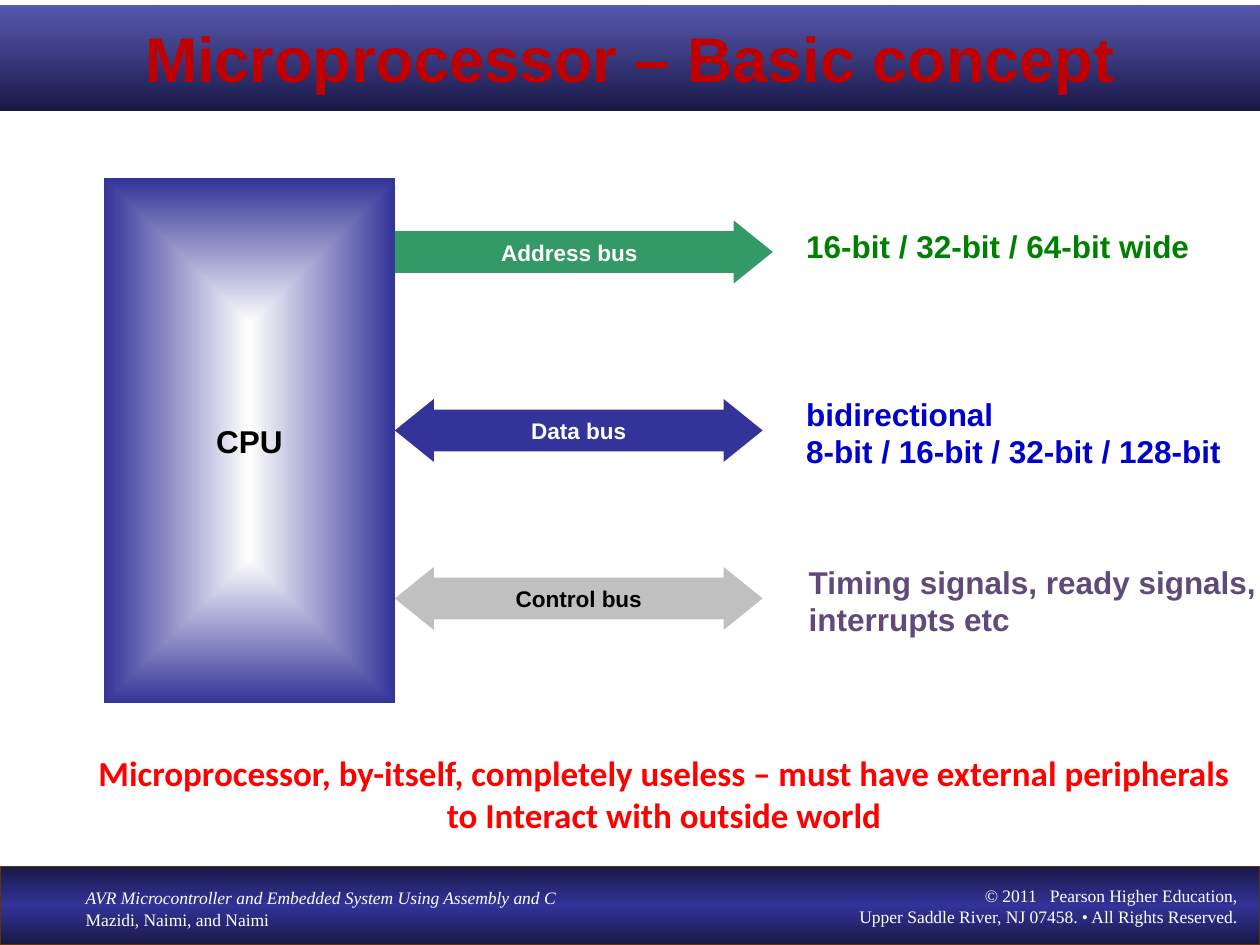
import pptx
import pptx.util
import pptx.dml.color
import pptx.enum.shapes
import pptx.enum.text
import pptx.oxml.ns
from dataclasses import dataclass
from lxml import etree

Pt = pptx.util.Pt
SHAPES = pptx.enum.shapes.MSO_SHAPE
ALIGN = pptx.enum.text.PP_ALIGN
ANCHOR = pptx.enum.text.MSO_ANCHOR
AUTO_SIZE = pptx.enum.text.MSO_AUTO_SIZE


@dataclass(frozen=True)
class Theme:
    indigo: str = "333399"
    navy: str = "181847"
    white: str = "FFFFFF"
    black: str = "000000"
    brown: str = "663300"
    title_red: str = "C00000"
    note_red: str = "FF0000"
    address_fill: str = "339966"
    address_text: str = "008000"
    data_text: str = "0000CC"
    control_fill: str = "C0C0C0"
    control_text: str = "604A7B"
    sans: str = "Arial"
    note_font: str = "Calibri"
    serif: str = "Times New Roman"
    title_size: float = 36
    note_size: float = 20
    body_size: float = 18
    bus_size: float = 12.9
    footer_size: float = 10


THEME = Theme()


def rgb(value):
    return pptx.dml.color.RGBColor.from_string(value)


def text_format(size, color, name=THEME.sans, bold=True, italic=False):
    return {"size": Pt(size), "name": name, "bold": bold, "italic": italic, "color": color}


def write_text(shape, lines, align=ALIGN.LEFT, anchor=ANCHOR.TOP, wrap=True):
    """Write one paragraph for each (text, format) pair."""
    frame = shape.text_frame
    frame.word_wrap = wrap
    frame.vertical_anchor = anchor
    for index, (text, values) in enumerate(lines):
        paragraph = frame.paragraphs[0] if index == 0 else frame.add_paragraph()
        paragraph.text = text
        paragraph.alignment = align
        for run in paragraph.runs:
            for name, value in values.items():
                if name == "color":
                    run.font.color.rgb = rgb(value)
                else:
                    setattr(run.font, name, value)


def add_text(slide, box, lines, **layout):
    shape = slide.shapes.add_textbox(*map(Pt, box))
    write_text(shape, lines, **layout)
    shape.text_frame.auto_size = AUTO_SIZE.SHAPE_TO_FIT_TEXT
    return shape


def add_block(slide, kind, box, fill=None):
    shape = slide.shapes.add_shape(kind, *map(Pt, box))
    shape.shadow.inherit = False
    shape.line.fill.background()
    if fill:
        shape.fill.solid()
        shape.fill.fore_color.rgb = rgb(fill)
    return shape


def fill_gradient(shape, stops, from_center=False):
    """Fill with (percent, color, opacity) stops, downwards or from the center."""
    def add(parent, tag, **attributes):
        values = {name: str(value) for name, value in attributes.items()}
        return etree.SubElement(parent, pptx.oxml.ns.qn(tag), values)

    shape.fill.gradient()
    gradient = shape.element.spPr.find(pptx.oxml.ns.qn("a:gradFill"))
    for child in list(gradient):
        gradient.remove(child)
    stop_list = add(gradient, "a:gsLst")
    for percent, color, opacity in stops:
        stop = add(stop_list, "a:gs", pos=percent * 1000)
        color_element = add(stop, "a:srgbClr", val=color)
        if opacity < 100:
            add(color_element, "a:alpha", val=opacity * 1000)
    if from_center:
        center = add(gradient, "a:path", path="rect")
        add(center, "a:fillToRect", l=50000, t=50000, r=50000, b=50000)
    else:
        add(gradient, "a:lin", ang=5400000, scaled=0)


def add_title(slide, box):
    banner = add_block(slide, SHAPES.RECTANGLE, box)
    fill_gradient(banner, [(0, THEME.indigo, 82), (100, THEME.navy, 100)])
    title = text_format(THEME.title_size, THEME.title_red)
    write_text(banner, [("Microprocessor – Basic concept", title)],
               align=ALIGN.CENTER, anchor=ANCHOR.MIDDLE)


def add_cpu(slide, box):
    cpu = add_block(slide, SHAPES.RECTANGLE, box)
    fill_gradient(cpu, [(0, THEME.white, 100), (100, THEME.indigo, 100)], from_center=True)
    write_text(cpu, [("CPU", text_format(THEME.body_size, THEME.black))],
               align=ALIGN.CENTER, anchor=ANCHOR.MIDDLE)


def add_bus(slide, box, label, fill, label_color, two_way):
    """Draw arrowheads at the ends of the box and a labelled bar between them."""
    left, top, width, height = box
    head_width, bar_height, inset = 82.8, 24, 16.6
    heads = [(SHAPES.RIGHT_ARROW, left + width - head_width)]
    if two_way:
        heads.append((SHAPES.LEFT_ARROW, left))
    for kind, head_left in heads:
        head = add_block(slide, kind, (head_left, top, head_width, height), fill)
        head.adjustments[1] = 0.62
    start = left + (inset if two_way else 0)
    bar_box = (start, top + (height - bar_height) / 2, left + width - inset - start, bar_height)
    bar = add_block(slide, SHAPES.RECTANGLE, bar_box, fill)
    write_text(bar, [(label, text_format(THEME.bus_size, label_color))],
               align=ALIGN.CENTER, anchor=ANCHOR.MIDDLE)


def add_buses(slide, left):
    # label, fill, label color, two-way, top, length
    # then caption, caption color, caption box
    buses = [
        ("Address bus", THEME.address_fill, THEME.white, False, 126, 216,
         "16-bit / 32-bit / 64-bit wide", THEME.address_text, (453.6, 126, 233.3, 28.8)),
        ("Data bus", THEME.indigo, THEME.white, True, 228, 210.2,
         "bidirectional\n8-bit / 16-bit / 32-bit / 128-bit", THEME.data_text,
         (453.6, 222, 251.3, 50.4)),
        ("Control bus", THEME.control_fill, THEME.black, True, 324, 210.2,
         "Timing signals, ready signals,\ninterrupts etc", THEME.control_text,
         (455, 318, 270, 50.4)),
    ]
    for (label, fill, label_color, two_way, top, length,
         caption, caption_color, caption_box) in buses:
        add_bus(slide, (left, top, length, 36), label, fill, label_color, two_way)
        values = text_format(THEME.body_size, caption_color)
        # The line break stays inside one paragraph
        add_text(slide, caption_box, [(caption.replace("\n", "\v"), values)], wrap=False)


def add_note(slide, box):
    note = text_format(THEME.note_size, THEME.note_red, THEME.note_font)
    add_text(slide, box, [("Microprocessor, by-itself, completely useless – must have "
                           "external peripherals to Interact with outside world", note)],
             align=ALIGN.CENTER)


def add_footer(slide, box):
    left, top, width, height = box
    band = add_block(slide, SHAPES.RECTANGLE, box)
    fill_gradient(band, [(0, THEME.navy, 100), (50, THEME.indigo, 100), (100, THEME.navy, 100)])
    band.line.color.rgb = rgb(THEME.brown)
    band.line.width = Pt(0.75)
    plain = text_format(THEME.footer_size, THEME.white, THEME.serif, bold=False)
    italic = {**plain, "italic": True}
    add_text(slide, (left + 41.8, top + 8.6, 298, 31.7),
             [("AVR Microcontroller and Embedded System Using Assembly and C", italic),
              ("Mazidi, Naimi, and Naimi", plain)])
    add_text(slide, (left + width - 306, top + 7.2, 300, 31.7),
             [("© 2011   Pearson Higher Education,\v"
               "Upper Saddle River, NJ 07458. • All Rights Reserved.", plain)],
             align=ALIGN.RIGHT)


def main():
    presentation = pptx.Presentation()
    presentation.slide_width = Pt(720)
    presentation.slide_height = Pt(540)
    slide = presentation.slides.add_slide(presentation.slide_layouts[6])
    add_footer(slide, (0, 495, 720, 45))
    add_title(slide, (0, 3, 720, 60))
    add_note(slide, (39, 426, 681, 55.7))
    cpu_box = (59.4, 102, 166.2, 300)
    add_cpu(slide, cpu_box)
    add_buses(slide, left=cpu_box[0] + cpu_box[2])
    presentation.save("out.pptx")


if __name__ == "__main__":
    main()
